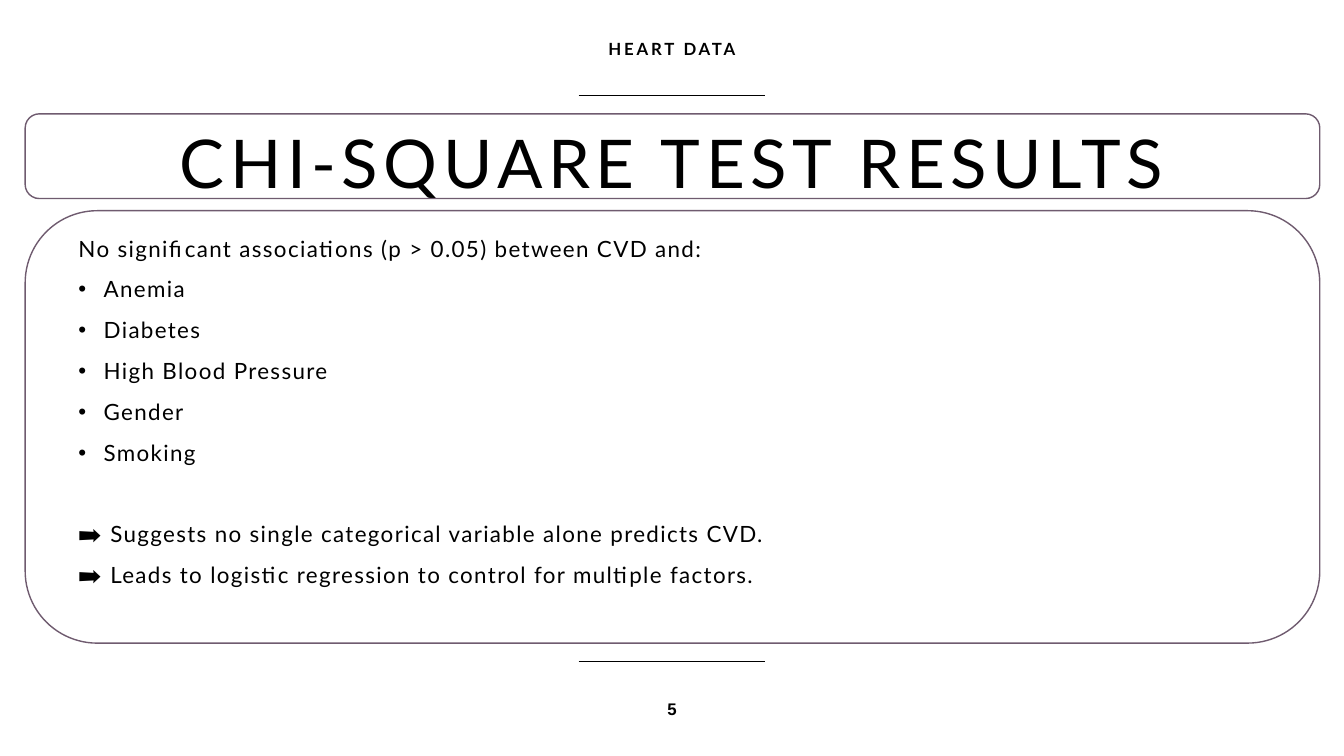
from dataclasses import dataclass

from lxml.etree import SubElement
from pptx import Presentation
from pptx.dml.color import RGBColor as Rgb
from pptx.enum.shapes import MSO_CONNECTOR as Connector, MSO_SHAPE as Preset
from pptx.enum.text import MSO_ANCHOR as Anchor, MSO_AUTO_SIZE as AutoSize, PP_ALIGN as Align
from pptx.oxml.ns import qn
from pptx.util import Inches, Pt


@dataclass(frozen=True)
class Theme:
    ink: Rgb = Rgb(0, 0, 0)
    paper: Rgb = Rgb(255, 255, 255)
    border: Rgb = Rgb(0x6F, 0x5B, 0x6F)
    font: str = "Lato"
    number_font: str = "Arial"
    title_size: int = 48
    body_size: int = 16
    label_size: int = 12
    paragraph_gap: int = 10
    section_gap: int = 39
    line_width: int = 1
    panel_opacity: int = 72


THEME = Theme()
WIDTH, HEIGHT = 13.33, 7.5
MARGIN = 0.25
PANEL_WIDTH = 12.84
RULE_WIDTH = 1.85
LABEL_WIDTH = 4.5

FACTORS = ["Anemia", "Diabetes", "High Blood Pressure", "Gender", "Smoking"]
CONCLUSIONS = [
    "➡️ Suggests no single categorical variable alone predicts CVD.",
    "➡️ Leads to logistic regression to control for multiple factors.",
]


def add_span(para, text, size, spacing, font=THEME.font, bold=False):
    span = para.add_run()
    span.text = text
    span.font.name = font
    span.font.size = Pt(size)
    span.font.bold = bold
    span.font.color.rgb = THEME.ink
    span.font._element.set("spc", str(spacing * 100))


def add_bullet(para, indent):
    props = para._p.get_or_add_pPr()
    props.set("marL", str(Inches(indent)))
    props.set("indent", str(-Inches(indent)))
    SubElement(props, qn("a:buFont")).set("typeface", "Arial")
    SubElement(props, qn("a:buChar")).set("char", "•")


def add_rule(page, top):
    left = (WIDTH - RULE_WIDTH) / 2
    rule = page.shapes.add_connector(
        Connector.STRAIGHT, Inches(left), Inches(top), Inches(left + RULE_WIDTH), Inches(top)
    )
    rule.line.color.rgb = THEME.ink
    rule.line.width = Pt(THEME.line_width)
    SubElement(rule._element.spPr, qn("a:effectLst"))


def add_label(page, text, top, height, font):
    left = (WIDTH - LABEL_WIDTH) / 2
    box = page.shapes.add_textbox(
        Inches(left), Inches(top), Inches(LABEL_WIDTH), Inches(height)
    )
    frame = box.text_frame
    frame.word_wrap = True
    frame.vertical_anchor = Anchor.MIDDLE
    para = frame.paragraphs[0]
    para.alignment = Align.CENTER
    add_span(para, text, THEME.label_size, 2, font, True)


def add_panel(page, left, top, width, height):
    panel = page.shapes.add_shape(
        Preset.ROUNDED_RECTANGLE, Inches(left), Inches(top), Inches(width), Inches(height)
    )
    panel.shadow.inherit = False
    panel.fill.solid()
    panel.fill.fore_color.rgb = THEME.paper
    color = panel._element.spPr.find(qn("a:solidFill"))[0]
    SubElement(color, qn("a:alpha")).set("val", str(THEME.panel_opacity * 1000))
    panel.line.color.rgb = THEME.border
    panel.line.width = Pt(THEME.line_width)


def add_heading(page, text, left, top, width, height):
    add_panel(page, left, top, width, height)
    title = page.shapes.title
    page.shapes._spTree.append(title._element)
    title.left, title.top = Inches(left + 0.92), Inches(top + 0.1)
    title.width, title.height = Inches(width - 1.85), Inches(height - 0.2)
    frame = title.text_frame
    frame.auto_size = AutoSize.NONE
    frame.word_wrap = True
    frame.vertical_anchor = Anchor.MIDDLE
    frame.margin_top, frame.margin_bottom = Inches(0.2), 0
    para = frame.paragraphs[0]
    para.alignment = Align.CENTER
    para.line_spacing = 0.9
    add_span(para, text, THEME.title_size, 4)


def add_findings(page, left, top, width, height):
    add_panel(page, left, top, width, height)
    box = page.shapes.add_textbox(
        Inches(left + 0.43), Inches(top + 0.19), Inches(width - 1.03), Inches(height - 0.35)
    )
    frame = box.text_frame
    frame.word_wrap = True
    intro = frame.paragraphs[0]
    add_span(intro, "No significant associations (p > 0.05) between CVD and:", THEME.body_size, 1)
    for factor in FACTORS:
        para = frame.add_paragraph()
        para.space_before = Pt(THEME.paragraph_gap)
        add_bullet(para, 0.25)
        add_span(para, factor, THEME.body_size, 1)
    for index, conclusion in enumerate(CONCLUSIONS):
        para = frame.add_paragraph()
        para.space_before = Pt(THEME.paragraph_gap if index else THEME.section_gap)
        add_span(para, conclusion, THEME.body_size, 1)


def build_results(page):
    for top in (0.95, 6.56):
        add_rule(page, top)
    add_heading(page, "CHI-SQUARE TEST RESULTS", MARGIN, 1.13, PANEL_WIDTH, 0.84)
    add_label(page, "HEART DATA", 0.01, 0.94, THEME.font)
    add_label(page, "5", 6.57, 0.93, THEME.number_font)
    add_findings(page, MARGIN, 2.09, PANEL_WIDTH, 4.29)


def main():
    deck = Presentation()
    deck.slide_width, deck.slide_height = Inches(WIDTH), Inches(HEIGHT)
    page = deck.slides.add_slide(deck.slide_layouts.get_by_name("Title Only"))
    build_results(page)
    deck.save("out.pptx")


if __name__ == "__main__":
    main()
